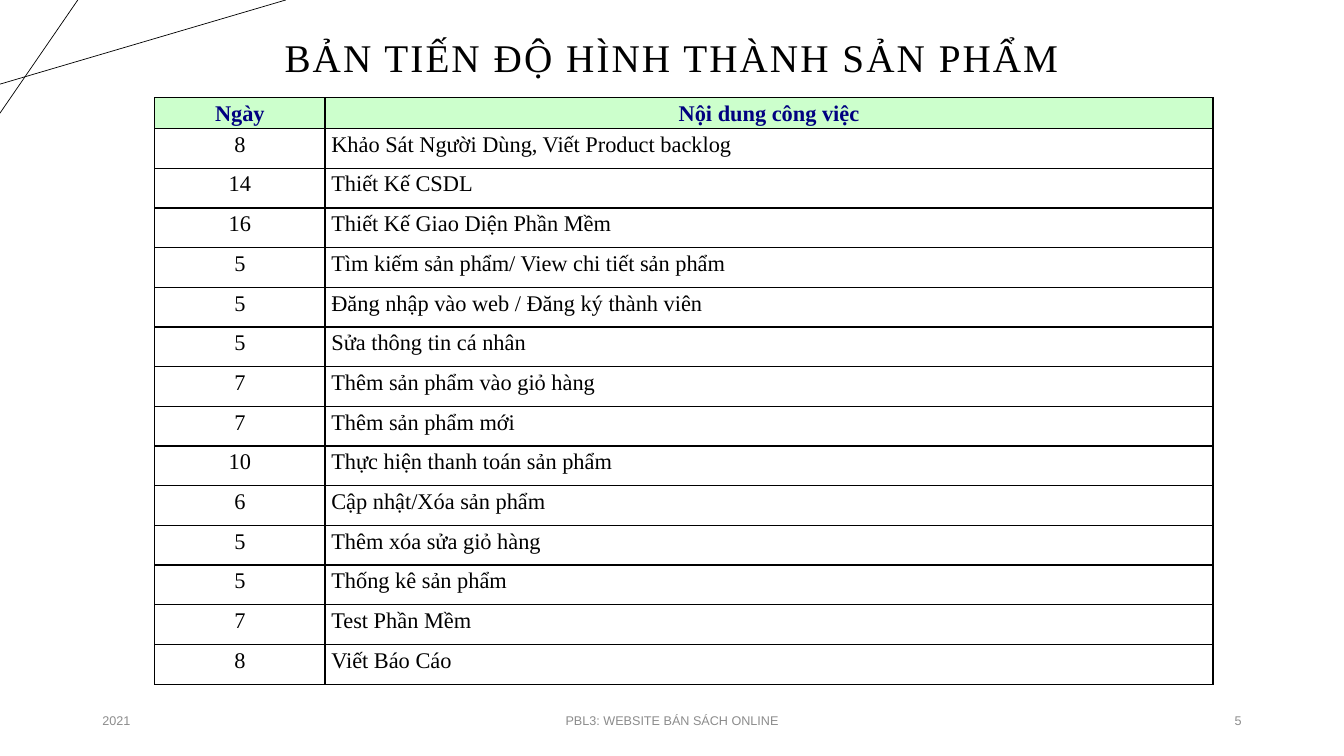
from dataclasses import dataclass

from lxml import etree
from pptx import Presentation
from pptx.dml.color import RGBColor
from pptx.enum.text import MSO_ANCHOR, PP_ALIGN
from pptx.oxml.ns import qn
from pptx.util import Cm, Pt

LEFT, CENTER, RIGHT = PP_ALIGN.LEFT, PP_ALIGN.CENTER, PP_ALIGN.RIGHT
MIDDLE = MSO_ANCHOR.MIDDLE


@dataclass(frozen=True)
class Theme:
    ink: str = "000000"
    heading: str = "000080"
    heading_fill: str = "CCFFCC"
    muted: str = "8C8C8C"
    serif: str = "Times New Roman"
    sans: str = "Arial"
    title_size: int = 28
    table_size: int = 16
    footer_size: int = 9


THEME = Theme()


def write(frame, text, align, font, size, color, bold=False, line_spacing=1.0):
    """Put one formatted run in the frame's first paragraph and return the run."""
    paragraph = frame.paragraphs[0]
    paragraph.alignment = align
    paragraph.line_spacing = line_spacing
    run = paragraph.add_run()
    run.text = text
    run.font.name = font
    run.font.size = Pt(size)
    run.font.bold = bold
    run.font.color.rgb = RGBColor.from_string(color)
    return run


def add_text_box(left, top, width, height):
    frame = slide.shapes.add_textbox(Cm(left), Cm(top), Cm(width), Cm(height)).text_frame
    frame.word_wrap = True
    frame.vertical_anchor = MIDDLE
    return frame


prs = Presentation()
prs.slide_width, prs.slide_height = Cm(33.87), Cm(19.05)
slide = prs.slides.add_slide(prs.slide_layouts[6])

# Corner lines
for x1, y1, x2, y2 in [(0, 2.12, 7.2, 0), (1.96, 0, 0, 2.85)]:
    corner_line = slide.shapes.add_connector(1, Cm(x1), Cm(y1), Cm(x2), Cm(y2))
    corner_line.line.color.rgb = RGBColor.from_string(THEME.ink)
    corner_line.line.width = Pt(0.5)
    etree.SubElement(corner_line._element.spPr, qn("a:effectLst"))

# Title
title = write(add_text_box(2.33, 0.38, 29.21, 2.26), "BẢN TIẾN ĐỘ HÌNH THÀNH SẢN PHẨM",
              CENTER, THEME.serif, THEME.title_size, THEME.ink, line_spacing=0.9)
title._r.get_or_add_rPr().set("spc", "150")

# Footer
for left, width, text, align in [
    (2.33, 7.62, "2021", LEFT),
    (11.22, 11.43, "PBL3: WEBSITE BÁN SÁCH ONLINE", CENTER),
    (23.92, 7.62, "5", RIGHT),
]:
    write(add_text_box(left, 17.66, width, 1.01), text, align,
          THEME.sans, THEME.footer_size, THEME.muted)

# Schedule table
schedule = [
    ("Ngày", "Nội dung công việc"),
    ("8", "Khảo Sát Người Dùng, Viết Product backlog"),
    ("14", "Thiết Kế CSDL"),
    ("16", "Thiết Kế Giao Diện Phần Mềm"),
    ("5", "Tìm kiếm sản phẩm/ View chi tiết sản phẩm"),
    ("5", "Đăng nhập vào web / Đăng ký thành viên"),
    ("5", "Sửa thông tin cá nhân"),
    ("7", "Thêm sản phẩm vào giỏ hàng"),
    ("7", "Thêm sản phẩm mới"),
    ("10", "Thực hiện thanh toán sản phẩm"),
    ("6", "Cập nhật/Xóa sản phẩm"),
    ("5", "Thêm xóa sửa giỏ hàng"),
    ("5", "Thống kê sản phẩm"),
    ("7", "Test Phần Mềm"),
    ("8", "Viết Báo Cáo"),
]
DAYS_WIDTH, TASK_WIDTH = 4.29, 22.38
HEADING_HEIGHT, TASK_HEIGHT = 0.64, 1.0
table = slide.shapes.add_table(
    len(schedule), 2, Cm(3.9), Cm(2.46), Cm(DAYS_WIDTH + TASK_WIDTH),
    Cm(HEADING_HEIGHT + TASK_HEIGHT * (len(schedule) - 1))).table
table.horz_banding = False
table.first_row = False
table.columns[0].width, table.columns[1].width = Cm(DAYS_WIDTH), Cm(TASK_WIDTH)

for row, entries in enumerate(schedule):
    is_heading = row == 0
    table.rows[row].height = Cm(HEADING_HEIGHT if is_heading else TASK_HEIGHT)
    for column, text in enumerate(entries):
        cell = table.cell(row, column)
        cell.margin_left = cell.margin_right = Cm(0.16)
        cell.margin_top = cell.margin_bottom = 0
        cell_properties = cell._tc.get_or_add_tcPr()
        for side in ("lnL", "lnR", "lnT", "lnB"):
            border = etree.SubElement(cell_properties, qn(f"a:{side}"), w=str(Pt(1)))
            border_fill = etree.SubElement(border, qn("a:solidFill"))
            etree.SubElement(border_fill, qn("a:srgbClr"), val=THEME.ink)
        if is_heading:
            cell.fill.solid()
            cell.fill.fore_color.rgb = RGBColor.from_string(THEME.heading_fill)
        else:
            cell.fill.background()
        write(cell.text_frame, text, CENTER if is_heading or column == 0 else LEFT,
              THEME.serif, THEME.table_size, THEME.heading if is_heading else THEME.ink,
              bold=is_heading, line_spacing=1.15)

prs.save("out.pptx")
